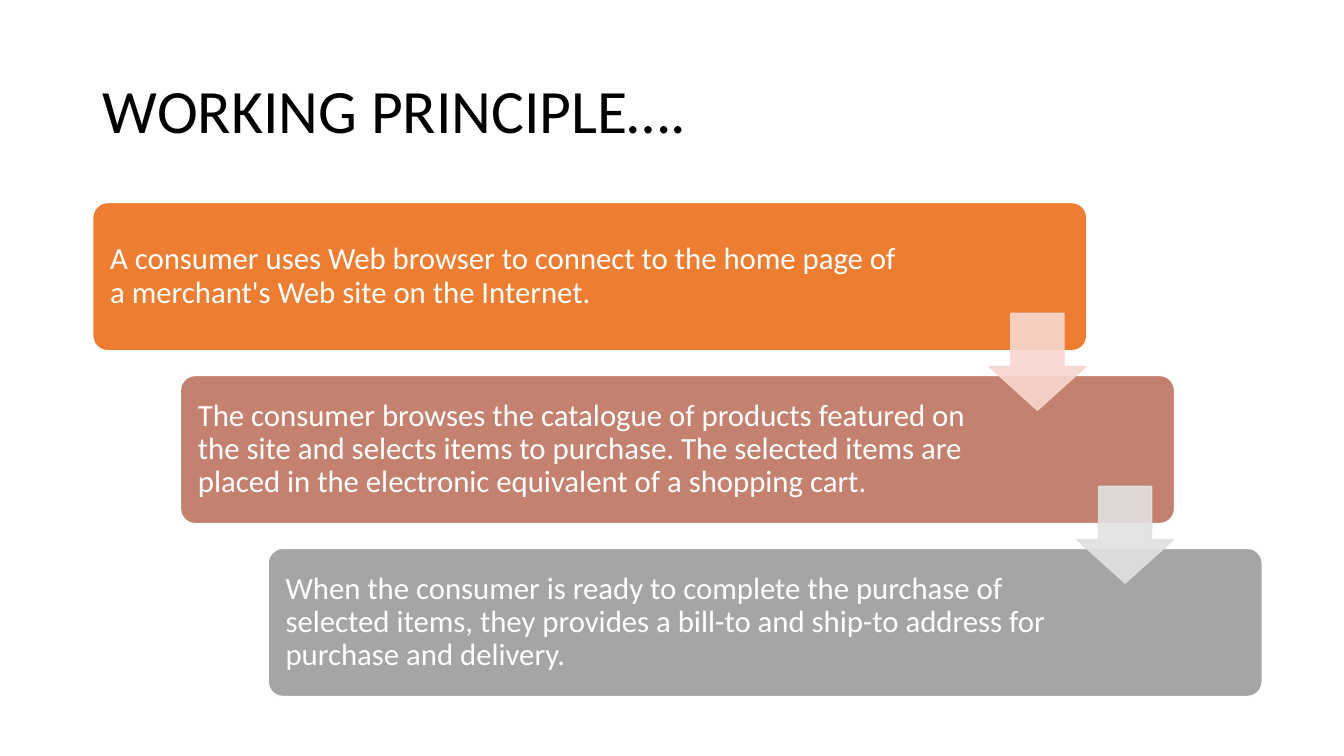
from lxml.etree import SubElement
from pptx import Presentation
from pptx.dml.color import RGBColor
from pptx.enum.shapes import MSO_SHAPE
from pptx.enum.text import MSO_ANCHOR, PP_ALIGN
from pptx.oxml.ns import qn
from pptx.util import Pt

PX = 9144
FONT = "Calibri"
BLACK = RGBColor(0x00, 0x00, 0x00)
WHITE = RGBColor(0xFF, 0xFF, 0xFF)
ORANGE = RGBColor(0xED, 0x7D, 0x31)
ROSE = RGBColor(0xC4, 0x81, 0x70)
GREY = RGBColor(0xA5, 0xA5, 0xA5)
PALE_ROSE = RGBColor(0xF8, 0xD7, 0xCE)
PALE_GREY = RGBColor(0xE1, 0xE1, 0xE1)

TITLE_BOX = (92, 40, 1150, 145)
STEPS_BOX = (92, 201, 1160, 490)
CARD_WIDTH, CARD_HEIGHT = 986, 147
ARROW_SIZE = 96
ARROW_LEFT, ARROW_TOP = 889, 110

STEPS = [
    ("A consumer uses Web browser to connect to the home page of a "
     "merchant's Web site on the Internet.", ORANGE, 164),
    ("The consumer browses the catalogue of products featured on the site "
     "and selects items to purchase. The selected items are placed in the "
     "electronic equivalent of a shopping cart.", ROSE, 197),
    ("When the consumer is ready to complete the purchase of selected items, "
     "they provides a bill-to and ship-to address for purchase and delivery.",
     GREY, 197),
]
ARROW_COLORS = [PALE_ROSE, PALE_GREY]


def emu(*lengths):
    """Turn px lengths into whole EMU."""
    return [round(length * PX) for length in lengths]


def format_text(text_frame, size, color):
    """Style the only paragraph of a text frame."""
    text_frame.word_wrap = True
    text_frame.vertical_anchor = MSO_ANCHOR.MIDDLE
    paragraph = text_frame.paragraphs[0]
    paragraph.alignment = PP_ALIGN.LEFT
    paragraph.line_spacing = 0.9
    font = paragraph.runs[0].font
    font.name, font.size = FONT, Pt(size)
    font.color.rgb = color


def add_block(slide, preset, box, fill, line, adjustments):
    """Add a filled and outlined preset shape without shadow."""
    shape = slide.shapes.add_shape(preset, *emu(*box))
    shape.shadow.inherit = False
    shape.fill.solid()
    shape.fill.fore_color.rgb = fill
    shape.line.color.rgb = line
    shape.line.width = Pt(1)
    for index, value in enumerate(adjustments):
        shape.adjustments[index] = value
    return shape


def add_title(slide, box):
    """Place and format the title placeholder."""
    title = slide.shapes.title
    title.left, title.top, title.width, title.height = emu(*box)
    title.text_frame.text = "WORKING PRINCIPLE…."
    format_text(title.text_frame, 44, BLACK)


def add_card(slide, box, text, color, right_margin):
    """Add one rounded step card with its text."""
    card = add_block(slide, MSO_SHAPE.ROUNDED_RECTANGLE, box, color, WHITE, [0.1])
    frame = card.text_frame
    frame.text = text
    frame.margin_left, frame.margin_right = emu(13, right_margin)
    format_text(frame, 22, WHITE)


def add_arrow(slide, box, color):
    """Add a slightly transparent down arrow."""
    arrow = add_block(slide, MSO_SHAPE.DOWN_ARROW, box, color, color, [0.55, 0.45])
    for color_element in arrow.element.spPr.iter(qn("a:srgbClr")):
        SubElement(color_element, qn("a:alpha"), val="90000")


def add_steps(slide, box):
    """Spread the cards diagonally over the box and link them with arrows."""
    left, top, width, height = box
    gaps = len(STEPS) - 1
    step_x = (width - CARD_WIDTH) / gaps
    step_y = (height - CARD_HEIGHT) / gaps
    corners = [(left + i * step_x, top + i * step_y) for i in range(len(STEPS))]
    for (x, y), step in zip(corners, STEPS):
        add_card(slide, (x, y, CARD_WIDTH, CARD_HEIGHT), *step)
    for (x, y), color in zip(corners, ARROW_COLORS):
        arrow_box = (x + ARROW_LEFT, y + ARROW_TOP, ARROW_SIZE, ARROW_SIZE)
        add_arrow(slide, arrow_box, color)


def main():
    """Build the slide and save it."""
    presentation = Presentation()
    presentation.slide_width, presentation.slide_height = emu(1333, 750)
    slide = presentation.slides.add_slide(presentation.slide_layouts[5])
    add_title(slide, TITLE_BOX)
    add_steps(slide, STEPS_BOX)
    presentation.save("out.pptx")


if __name__ == "__main__":
    main()
